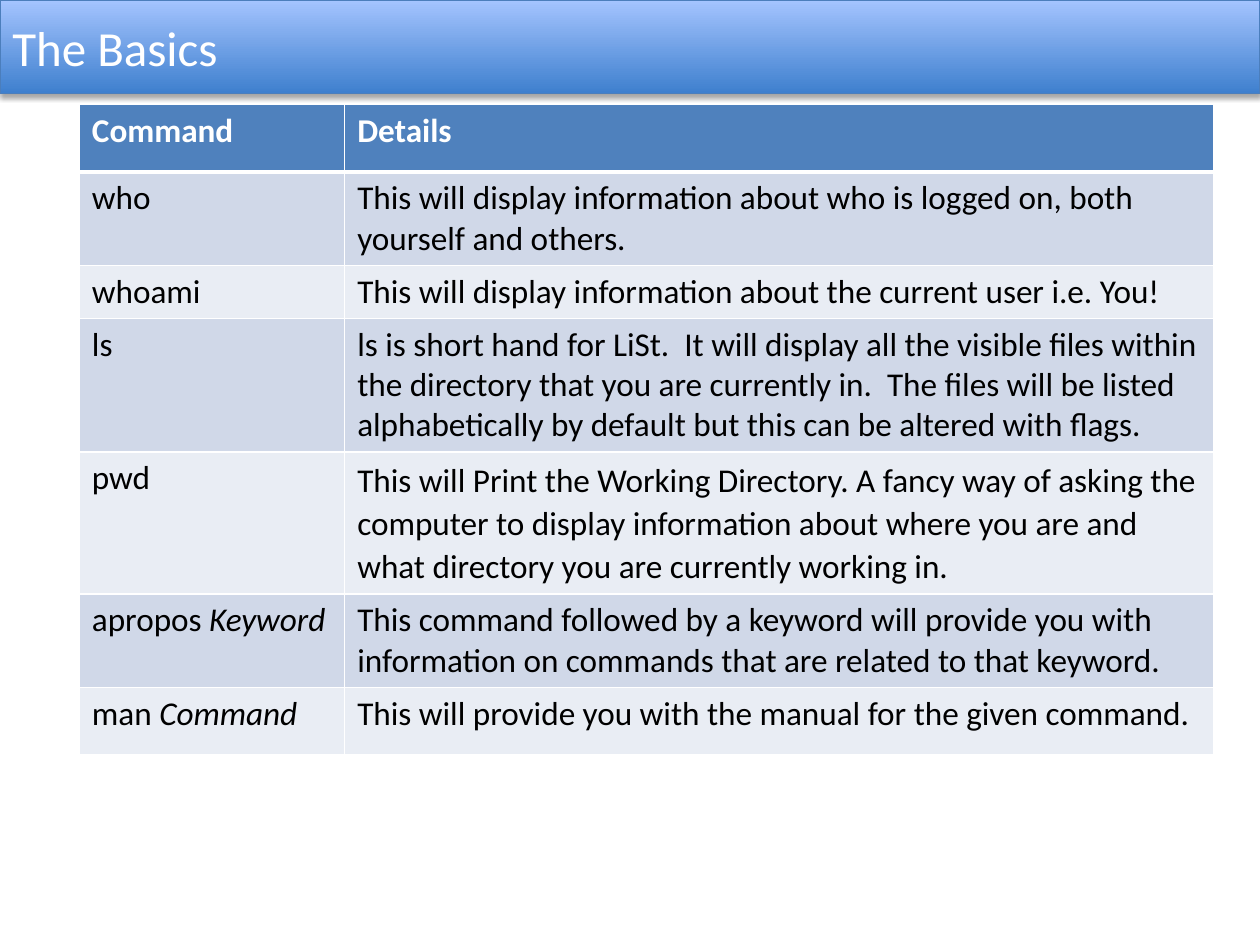
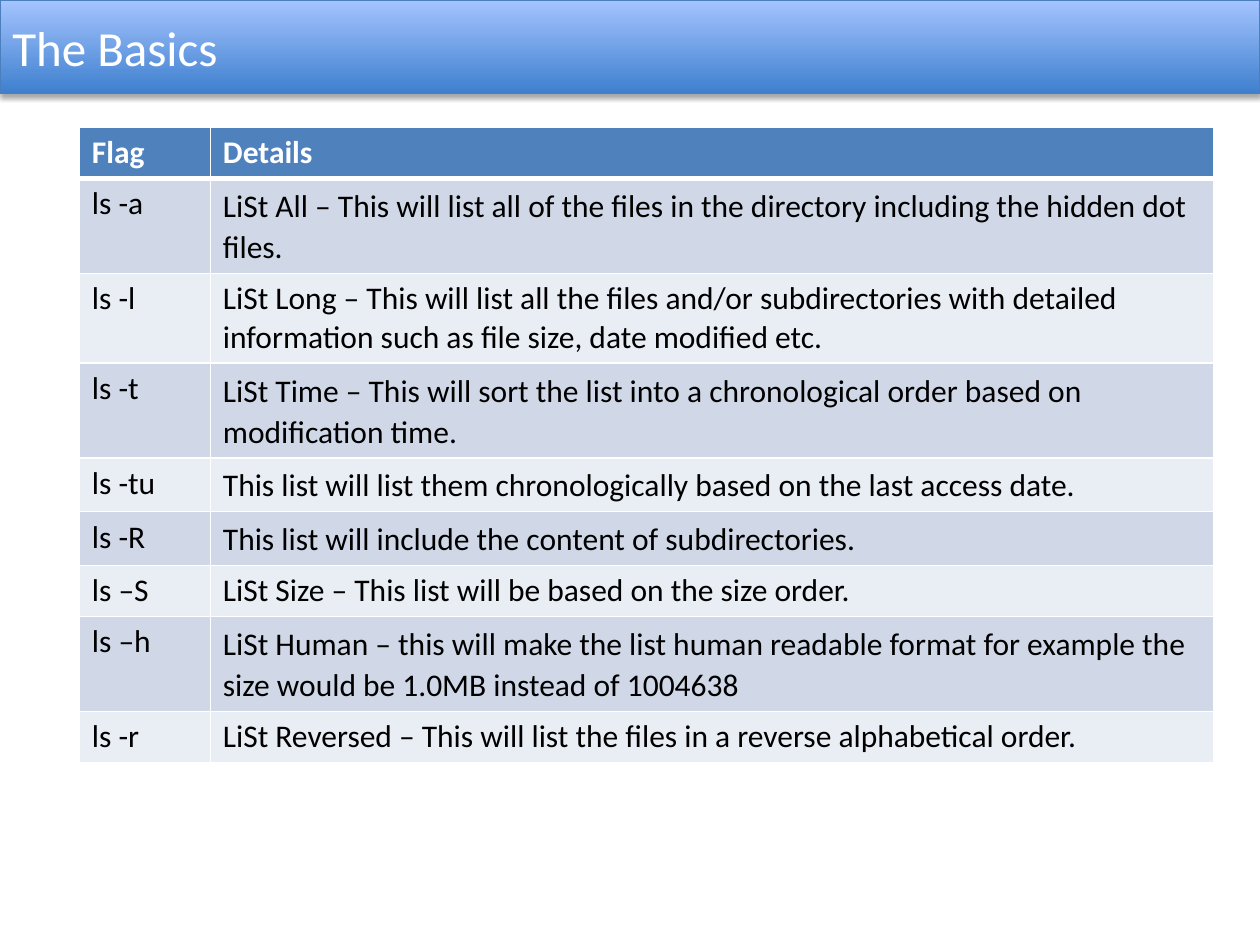
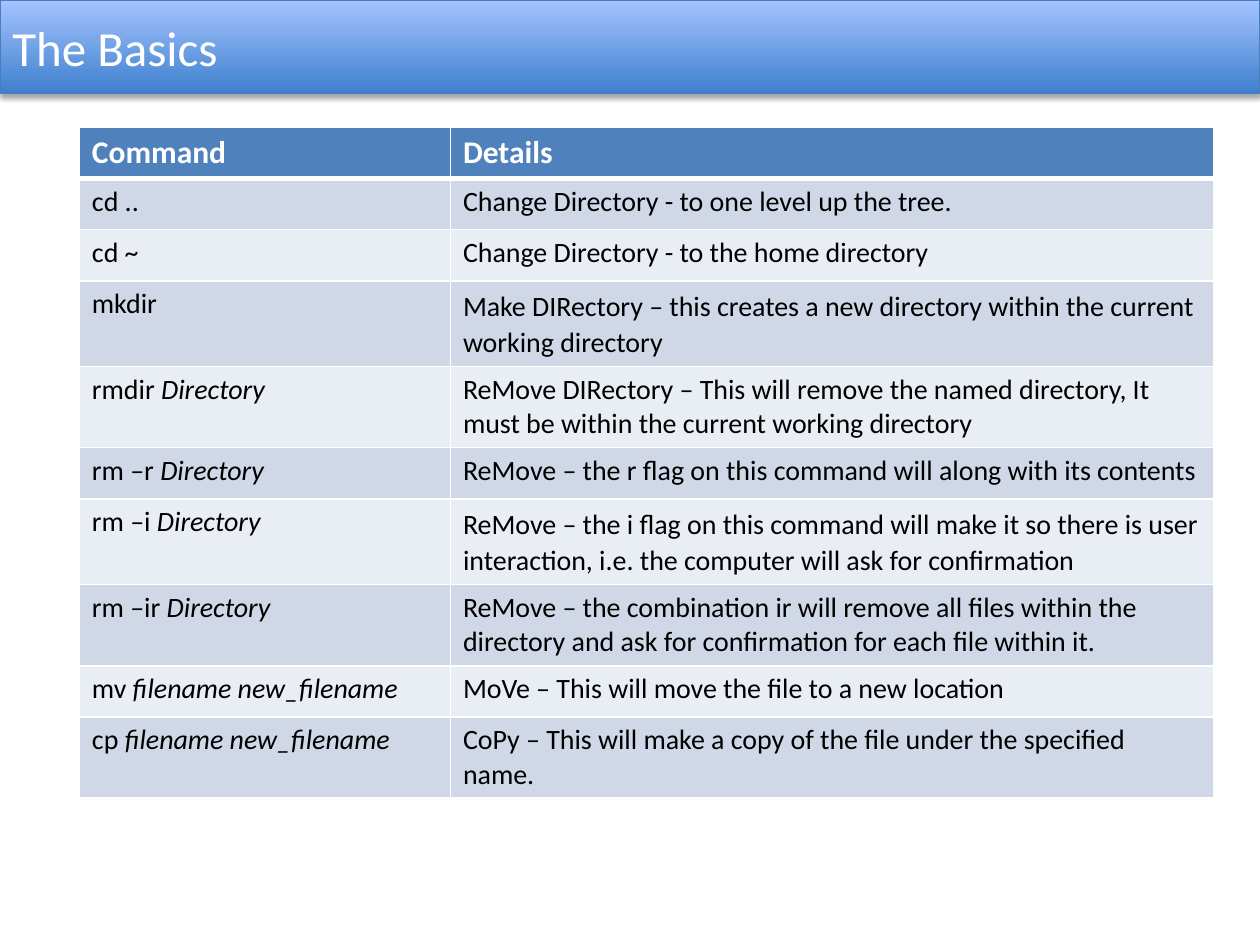
"""Build three slides that list basic shell commands."""
import dataclasses

import lxml.etree
import pptx
import pptx.dml.color
import pptx.enum.shapes
import pptx.enum.text
import pptx.oxml.ns
import pptx.util

Cm = pptx.util.Cm
Pt = pptx.util.Pt
RGBColor = pptx.dml.color.RGBColor

WHITE = RGBColor(0xFF, 0xFF, 0xFF)
BLACK = RGBColor(0x00, 0x00, 0x00)
BAND_BOTTOM = RGBColor(0x3F, 0x80, 0xCE)
BAND_TOP = RGBColor(0xA4, 0xC4, 0xFF)
BAND_EDGE = RGBColor(0x4B, 0x7E, 0xBC)
HEADER_FILL = RGBColor(0x4F, 0x81, 0xBD)
ROW_FILLS = (RGBColor(0xD0, 0xD8, 0xE8), RGBColor(0xE9, 0xED, 0xF4))

SLIDE_WIDTH = Cm(25.4)
SLIDE_HEIGHT = Cm(19.05)
BAND_HEIGHT = Cm(1.88)
TABLE_LEFT = Cm(1.6)
TABLE_WIDTH = Cm(22.86)
ROW_HEIGHT = 1.03
LOOSE = 1.07

TITLE_FORMAT = {"name": "Calibri", "size": Pt(28)}
CELL_FORMAT = {"name": "Calibri", "bold": False}
HEADER_FORMAT = {"name": "Calibri", "bold": True}


@dataclasses.dataclass
class Entry:
    """One command with its italic argument and its explanation."""
    command: str
    details: str
    argument: str = ""
    spacing: float = 1.0
    height: float = ROW_HEIGHT


@dataclasses.dataclass
class CommandTable:
    """The content and measures of one slide's table, in centimetres and points."""
    heading: str
    top: float
    first_column: float
    header_size: float
    text_size: float
    entries: list
    header_height: float = ROW_HEIGHT


COMMAND_TABLES = [
    CommandTable("Command", 2.11, 5.35, 19, 19, [
        Entry("who", "This will display information about who is logged on, both "
              "yourself and others.", height=1.63),
        Entry("whoami", "This will display information about the current user "
              "i.e. You!", height=0.86),
        Entry("ls", "ls is short hand for LiSt.  It will display all the visible files "
              "within the directory that you are currently in.  The files will be "
              "listed alphabetically by default but this can be altered with flags.",
              height=2.49),
        Entry("pwd", "This will Print the Working Directory. A fancy way of asking the "
              "computer to display information about where you are and what directory "
              "you are currently working in.", spacing=LOOSE, height=2.51),
        Entry("apropos ", "This command followed by a keyword will provide you with "
              "information on commands that are related to that keyword.",
              "Keyword", height=1.36),
        Entry("man ", "This will provide you with the manual for the given command.",
              "Command", height=1.36),
    ], header_height=1.36),
    CommandTable("Flag", 2.57, 2.64, 18, 18, [
        Entry("ls -a", "LiSt All – This will list all of the files in the directory "
              "including the hidden dot files.", spacing=LOOSE),
        Entry("ls -l", "LiSt Long – This will list all the files and/or subdirectories "
              "with detailed information such as file size, date modified etc."),
        Entry("ls -t", "LiSt Time – This will sort the list into a chronological order "
              "based on modification time.", spacing=LOOSE),
        Entry("ls -tu", "This list will list them chronologically based on the last "
              "access date.", spacing=LOOSE),
        Entry("ls -R", "This list will include the content of subdirectories.",
              spacing=LOOSE),
        Entry("ls –S", "LiSt Size – This list will be based on the size order."),
        Entry("ls –h", "LiSt Human – this will make the list human readable format for "
              "example the size would be 1.0MB instead of 1004638", spacing=LOOSE),
        Entry("ls -r", "LiSt Reversed – This will list the files in a reverse "
              "alphabetical order."),
    ]),
    CommandTable("Command", 2.57, 7.48, 18, 16, [
        Entry("cd ..", "Change Directory - to one level up the tree."),
        Entry("cd ~", "Change Directory - to the home directory"),
        Entry("mkdir", "Make DIRectory – this creates a new directory within the "
              "current working directory", spacing=LOOSE),
        Entry("rmdir ", "ReMove DIRectory – This will remove the named directory, It "
              "must be within the current working directory", "Directory"),
        Entry("rm –r ", "ReMove – the r flag on this command will along with its "
              "contents", "Directory"),
        Entry("rm –i ", "ReMove – the i flag on this command will make it so there is "
              "user interaction, i.e. the computer will ask for confirmation",
              "Directory", LOOSE),
        Entry("rm –ir ", "ReMove – the combination ir will remove all files within the "
              "directory and ask for confirmation for each file within it.",
              "Directory"),
        Entry("mv ", "MoVe – This will move the file to a new location",
              "filename new_filename"),
        Entry("cp ", "CoPy – This will make a copy of the file under the specified "
              "name.", "filename new_filename"),
    ]),
]


def add_element(parent, tag, **attributes):
    """Append a drawing element with the given attributes."""
    values = {name: str(value) for name, value in attributes.items()}
    return lxml.etree.SubElement(parent, pptx.oxml.ns.qn(tag), values)


def add_colour(parent, colour):
    """Append an RGB colour element."""
    return add_element(parent, "a:srgbClr", val=colour)


def add_span(para, text, colour, formats):
    """Add a run of text with the given font values."""
    span = para.add_run()
    span.text = text
    span.font.color.rgb = colour
    for name, value in formats.items():
        setattr(span.font, name, value)


def add_shadow(shape):
    """Give the shape a soft shadow straight below it."""
    shape.shadow.inherit = False
    effects = shape._element.spPr.find(pptx.oxml.ns.qn("a:effectLst"))
    shadow = add_element(effects, "a:outerShdw", blurRad=Pt(3.1), dist=Pt(1.8),
                         dir=5400000, rotWithShape=0)
    add_element(add_colour(shadow, BLACK), "a:alpha", val=35000)


def add_title_band(page, title):
    """Draw the gradient band with the slide title."""
    band = page.shapes.add_shape(pptx.enum.shapes.MSO_SHAPE.RECTANGLE,
                                 0, 0, SLIDE_WIDTH, BAND_HEIGHT)
    band.fill.gradient()
    band.fill.gradient_angle = 90
    for stop, colour in zip(band.fill.gradient_stops, (BAND_BOTTOM, BAND_TOP)):
        stop.color.rgb = colour
    band.line.color.rgb = BAND_EDGE
    band.line.width = Pt(0.75)
    add_shadow(band)
    band.text_frame.word_wrap = True
    band.text_frame.vertical_anchor = pptx.enum.text.MSO_ANCHOR.MIDDLE
    para = band.text_frame.paragraphs[0]
    para.alignment = pptx.enum.text.PP_ALIGN.LEFT
    add_span(para, title, WHITE, TITLE_FORMAT)


def style_cell(cell, row_index):
    """Set the fill and white borders that belong to a row."""
    widths = {"L": 1, "R": 1, "T": 3 if row_index == 1 else 1,
              "B": 3 if row_index == 0 else 1}
    properties = cell._tc.get_or_add_tcPr()
    for side, width in widths.items():
        line = add_element(properties, f"a:ln{side}", w=Pt(width))
        add_colour(add_element(line, "a:solidFill"), WHITE)
    cell.fill.solid()
    cell.fill.fore_color.rgb = ROW_FILLS[(row_index - 1) % 2] if row_index else HEADER_FILL


def fill_row(table, row_index, entry, colour, formats):
    """Write one entry into a row of the table."""
    table.rows[row_index].height = Cm(entry.height)
    command, details = table.rows[row_index].cells
    for cell in (command, details):
        style_cell(cell, row_index)
    para = command.text_frame.paragraphs[0]
    add_span(para, entry.command, colour, formats)
    if entry.argument:
        add_span(para, entry.argument, colour, {**formats, "italic": True})
    para = details.text_frame.paragraphs[0]
    para.line_spacing = entry.spacing
    add_span(para, entry.details, colour, formats)


def add_command_table(page, content):
    """Draw a two-column table of commands and details."""
    header = Entry(content.heading, "Details", height=content.header_height)
    height = header.height + sum(entry.height for entry in content.entries)
    table = page.shapes.add_table(len(content.entries) + 1, 2, TABLE_LEFT,
                                  Cm(content.top), TABLE_WIDTH, Cm(height)).table
    table.columns[0].width = Cm(content.first_column)
    table.columns[1].width = TABLE_WIDTH - Cm(content.first_column)
    fill_row(table, 0, header, WHITE, {**HEADER_FORMAT, "size": Pt(content.header_size)})
    for row_index, entry in enumerate(content.entries, 1):
        fill_row(table, row_index, entry, BLACK,
                 {**CELL_FORMAT, "size": Pt(content.text_size)})


def main():
    """Build and save the deck."""
    deck = pptx.Presentation()
    deck.slide_width = SLIDE_WIDTH
    deck.slide_height = SLIDE_HEIGHT
    for content in COMMAND_TABLES:
        page = deck.slides.add_slide(deck.slide_layouts[6])
        add_title_band(page, "The Basics")
        add_command_table(page, content)
    deck.save("out.pptx")


if __name__ == "__main__":
    main()
